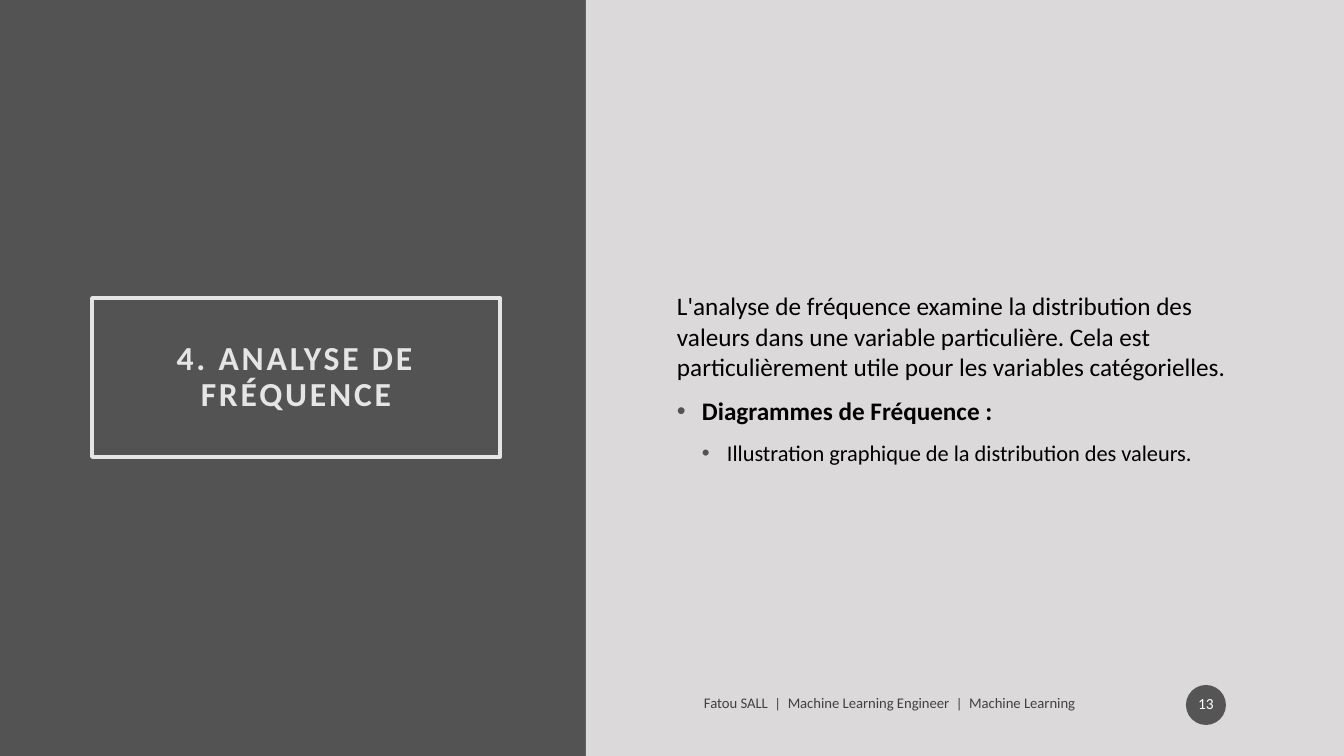
from dataclasses import dataclass

from lxml import etree
from pptx import Presentation
from pptx.dml.color import RGBColor
from pptx.enum.shapes import MSO_SHAPE
from pptx.enum.text import MSO_ANCHOR, MSO_AUTO_SIZE, PP_ALIGN
from pptx.oxml.ns import qn
from pptx.util import Pt

RECTANGLE, OVAL = MSO_SHAPE.RECTANGLE, MSO_SHAPE.OVAL
MIDDLE = MSO_ANCHOR.MIDDLE
LEFT, CENTER = PP_ALIGN.LEFT, PP_ALIGN.CENTER
NO_AUTOFIT = MSO_AUTO_SIZE.NONE
EMU_PER_PX = 914400 / 100.8
TITLE_AND_CONTENT = 1


@dataclass(frozen=True)
class Theme:
    font: str = "Calibri"
    dark: str = "535353"
    light: str = "E6E5E5"
    panel: str = "DBD9D9"
    badge: str = "1D1D1D"
    text: str = "000000"
    badge_text: str = "FFFFFF"
    title_size: float = 24
    body_size: float = 18
    detail_size: float = 16
    footer_size: float = 10.5
    number_size: float = 11
    opacity: int = 70


THEME = Theme()


def px(length):
    return round(length * EMU_PER_PX)


def place(shape, left, top, width, height):
    shape.left, shape.top = px(left), px(top)
    shape.width, shape.height = px(width), px(height)


def set_opacity(fill_owner, percent):
    """Make the solid colour inside an XML element partly transparent."""
    colour = fill_owner.find(qn("a:solidFill")).find(qn("a:srgbClr"))
    etree.SubElement(colour, qn("a:alpha"), val=str(percent * 1000))


def set_frame(frame, side=10, upright=5):
    frame.word_wrap = True
    frame.auto_size = NO_AUTOFIT
    frame.vertical_anchor = MIDDLE
    frame.margin_left = frame.margin_right = px(side)
    frame.margin_top = frame.margin_bottom = px(upright)


def add_run(paragraph, text, size, colour, bold=False):
    run = paragraph.add_run()
    run.text = text
    run.font.name = THEME.font
    run.font.size = Pt(size)
    run.font.bold = bold
    run.font.color.rgb = RGBColor.from_string(colour)
    return run


def set_paragraph(paragraph, align=LEFT, line_spacing=1.0, before=0, after=0):
    paragraph.alignment = align
    paragraph.line_spacing = line_spacing
    paragraph.space_before, paragraph.space_after = Pt(before), Pt(after)


def set_bullet(paragraph, indent):
    """Hang a dark bullet left of the indent; an indent of 0 removes the bullet."""
    properties = paragraph._p.get_or_add_pPr()
    properties.set("marL", str(px(indent)))
    properties.set("indent", str(px(-25) if indent else 0))
    if indent:
        colour = etree.SubElement(properties, qn("a:buClr"))
        etree.SubElement(colour, qn("a:srgbClr"), val=THEME.dark)
        etree.SubElement(properties, qn("a:buFont"), typeface="Arial")
        etree.SubElement(properties, qn("a:buChar"), char="•")
    else:
        etree.SubElement(properties, qn("a:buNone"))


def add_filled_shape(slide, kind, box, colour):
    shape = slide.shapes.add_shape(kind, *map(px, box))
    shape.shadow.inherit = False
    shape.fill.solid()
    shape.fill.fore_color.rgb = RGBColor.from_string(colour)
    shape.line.fill.background()
    return shape


def fill_title(title, text):
    place(title, 92, 298, 408, 159)
    title.line.color.rgb = RGBColor.from_string(THEME.light)
    title.line.width = Pt(2.5)
    set_frame(title.text_frame, side=20, upright=20)
    paragraph = title.text_frame.paragraphs[0]
    set_paragraph(paragraph, CENTER, 0.9)
    run = add_run(paragraph, text, THEME.title_size, THEME.light, bold=True)
    run.font._element.set("spc", "200")


def fill_body(body, items):
    place(body, 667, 89, 597, 579)
    frame = body.text_frame
    set_frame(frame)
    for index, (text, level, indent, size, bold) in enumerate(items):
        paragraph = frame.add_paragraph() if index else frame.paragraphs[0]
        paragraph.level = level
        set_bullet(paragraph, indent)
        set_paragraph(paragraph, before=10 if index else 0)
        add_run(paragraph, text, size, THEME.text, bold)


def add_footer(slide, text):
    footer = slide.shapes.add_textbox(*map(px, (694, 686, 472, 34)))
    set_frame(footer.text_frame)
    paragraph = footer.text_frame.paragraphs[0]
    set_paragraph(paragraph, after=6)
    run = add_run(paragraph, text, THEME.footer_size, THEME.text)
    set_opacity(run.font._element, THEME.opacity)


def add_page_badge(slide, number):
    badge = add_filled_shape(slide, OVAL, (1186, 685, 40, 40), THEME.badge)
    set_opacity(badge._element.spPr, THEME.opacity)
    set_frame(badge.text_frame, side=2)
    paragraph = badge.text_frame.paragraphs[0]
    set_paragraph(paragraph, CENTER, 0.9, after=6)
    add_run(paragraph, number, THEME.number_size, THEME.badge_text)


def main():
    presentation = Presentation()
    presentation.slide_width, presentation.slide_height = px(1344), px(756)
    slide = presentation.slides.add_slide(
        presentation.slide_layouts[TITLE_AND_CONTENT])
    slide.background.fill.solid()
    slide.background.fill.fore_color.rgb = RGBColor.from_string(THEME.dark)

    fill_title(slide.shapes.title, "4. ANALYSE DE FRÉQUENCE")
    body = slide.placeholders[1]
    panel = add_filled_shape(slide, RECTANGLE, (586, 0, 758, 756), THEME.panel)
    body._element.addprevious(panel._element)
    fill_body(body, [
        ("L'analyse de fréquence examine la distribution des valeurs dans une "
         "variable particulière. Cela est particulièrement utile pour les "
         "variables catégorielles.", 0, 0, THEME.body_size, False),
        ("Diagrammes de Fréquence :", 0, 25, THEME.body_size, True),
        ("Illustration graphique de la distribution des valeurs.",
         1, 50, THEME.detail_size, False),
    ])
    add_footer(
        slide, "Fatou SALL  |  Machine Learning Engineer  |  Machine Learning")
    add_page_badge(slide, "13")
    presentation.save("out.pptx")


if __name__ == "__main__":
    main()
